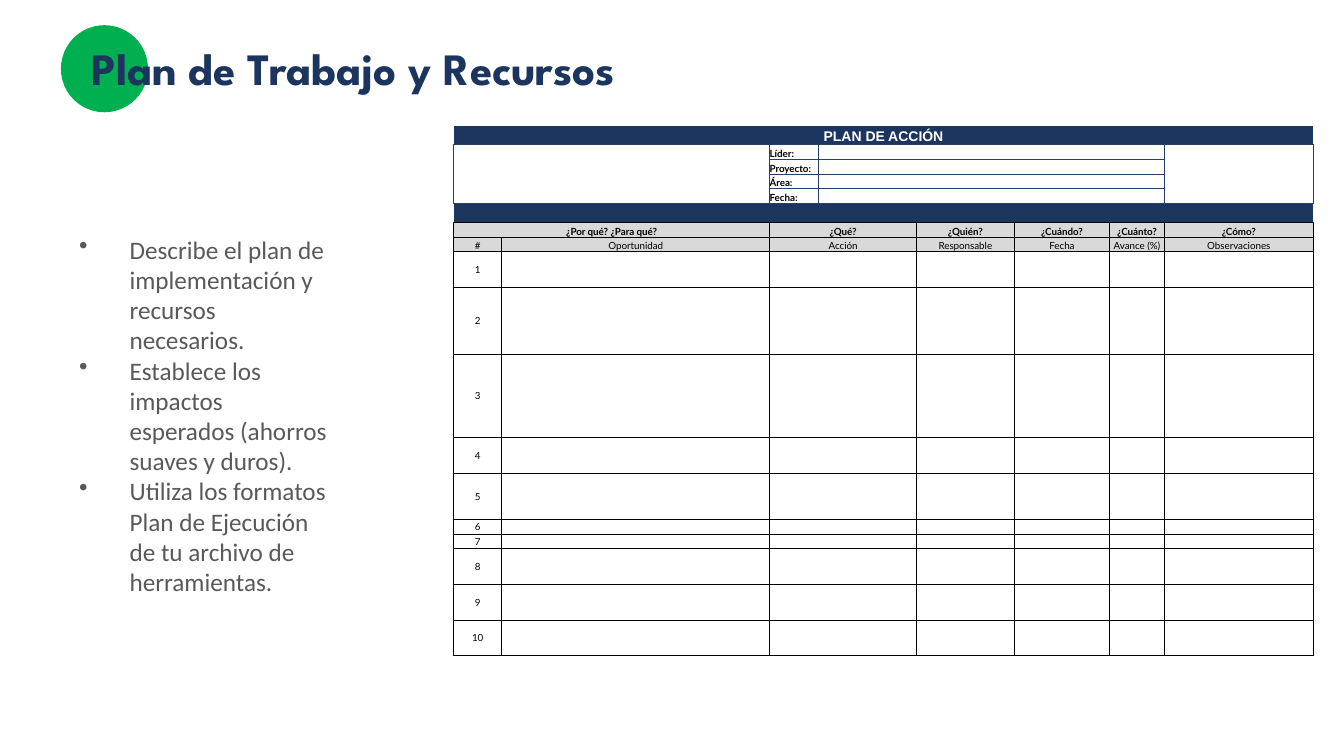
from lxml.etree import SubElement
from pptx import Presentation
from pptx.dml.color import RGBColor
from pptx.enum.shapes import MSO_SHAPE
from pptx.enum.text import MSO_ANCHOR, PP_ALIGN
from pptx.oxml.ns import qn
from pptx.util import Pt

PX = 9525  # EMU in one px, 96 px to the inch
COLORS = {
    "navy": "1C355E", "green": "00B050", "body": "595959", "band": "D9D9D9",
    "form": "244062", "grid": "000000", "white": "FFFFFF",
}
SIDES = {"l": "a:lnL", "r": "a:lnR", "t": "a:lnT", "b": "a:lnB"}

COLUMN_WIDTHS = [46, 255, 47, 93, 93, 91, 52, 142]
ROW_HEIGHTS = [18, 14, 14, 14, 14, 18, 14, 14,
               34, 64, 79, 34, 44, 14, 14, 34, 34, 34]
FORM_ROWS = range(1, 5)
DIVIDER_ROW, QUESTION_ROW, HEADING_ROW, FIRST_ACTION_ROW = 5, 6, 7, 8

FORM_LABELS = ["Líder:", "Proyecto:", "Área:", "Fecha:"]
QUESTIONS = {0: "¿Por qué? ¿Para qué?", 2: "¿Qué?", 4: "¿Quién?",
             5: "¿Cuándo?", 6: "¿Cuánto?", 7: "¿Cómo?"}
HEADINGS = {0: "#", 1: "Oportunidad", 2: "Acción", 4: "Responsable",
            5: "Fecha", 6: "Avance (%)", 7: "Observaciones"}
GUIDELINES = [
    "Describe el plan de implementación y recursos necesarios.",
    "Establece los impactos esperados (ahorros suaves y duros).",
    "Utiliza los formatos Plan de Ejecución de tu archivo de herramientas.",
]


def rgb(color):
    return RGBColor.from_string(COLORS[color])


class SlideBuilder:
    def __init__(self, slide):
        self.slide = slide

    def style(self, paragraph, font, size, color, bold=False):
        paragraph.font.name = font
        paragraph.font.size = Pt(size)
        paragraph.font.bold = bold
        paragraph.font.color.rgb = rgb(color)

    def box(self, *bounds):
        return [value * PX for value in bounds]

    def circle(self, left, top, diameter, color):
        dot = self.slide.shapes.add_shape(
            MSO_SHAPE.OVAL, *self.box(left, top, diameter, diameter))
        dot.shadow.inherit = False
        dot.fill.solid()
        dot.fill.fore_color.rgb = rgb(color)
        dot.line.fill.background()

    def title(self, text, *bounds):
        frame = self.slide.shapes.add_textbox(*self.box(*bounds)).text_frame
        frame.word_wrap = True
        frame.vertical_anchor = MSO_ANCHOR.MIDDLE
        frame.margin_left = frame.margin_right = frame.margin_bottom = 0
        frame.margin_top = PX
        frame.text = text
        self.style(frame.paragraphs[0], "League Spartan", 32, "navy", True)

    def bullets(self, items, *bounds):
        frame = self.slide.shapes.add_textbox(*self.box(*bounds)).text_frame
        frame.word_wrap = True
        frame.text = "\n".join(items)
        for paragraph in frame.paragraphs:
            paragraph.level = 1
            self.style(paragraph, "Calibri", 18, "body")
            properties = paragraph._p.get_or_add_pPr()
            properties.set("marL", str(96 * PX))
            properties.set("indent", str(-48 * PX))
            marker = properties.makeelement(qn("a:buChar"), {"char": "•"})
            properties.insert_element_before(
                marker, "a:tabLst", "a:defRPr", "a:extLst")

    def table(self, left, top, widths, heights):
        frame = self.slide.shapes.add_table(
            len(heights), len(widths),
            *self.box(left, top, sum(widths), sum(heights)))
        table = frame.table
        table.first_row = table.horz_banding = False
        for column, width in zip(table.columns, widths):
            column.width = width * PX
        for row, height in zip(table.rows, heights):
            row.height = height * PX
        return table

    def cell(self, cell, fill=None, line="grid", sides="lrtb"):
        """Clear the margins, then set the fill and the four borders."""
        cell.margin_left = cell.margin_right = 0
        cell.margin_top = cell.margin_bottom = 0
        self.style(cell.text_frame.paragraphs[0], "Lato", 7, "grid")
        properties = cell._tc.get_or_add_tcPr()
        for side, tag in SIDES.items():
            border = SubElement(properties, qn(tag), w=str(Pt(0.75)))
            if side in sides:
                paint = SubElement(border, qn("a:solidFill"))
                SubElement(paint, qn("a:srgbClr"), val=COLORS[line])
            else:
                SubElement(border, qn("a:noFill"))
        if fill:
            cell.fill.solid()
            cell.fill.fore_color.rgb = rgb(fill)
        else:
            cell.fill.background()

    def cell_text(self, cell, text, bold=False, align=PP_ALIGN.CENTER,
                  anchor=MSO_ANCHOR.BOTTOM, font="Lato", size=7, color="grid"):
        cell.text = text
        cell.vertical_anchor = anchor
        paragraph = cell.text_frame.paragraphs[0]
        paragraph.alignment = align
        self.style(paragraph, font, size, color, bold)


def row_style(row):
    """Fill, line colour and drawn sides of the cells in a row."""
    if row == 0:
        return "navy", "form", "b"
    if row in FORM_ROWS:
        return None, "form", "lrtb"
    if row == DIVIDER_ROW:
        return "navy", "form", "t"
    return ("band" if row < FIRST_ACTION_ROW else None), "grid", "lrtb"


def add_action_plan(builder):
    plan = builder.table(432, 120, COLUMN_WIDTHS, ROW_HEIGHTS)
    last_row, last_column = len(ROW_HEIGHTS) - 1, len(COLUMN_WIDTHS) - 1
    for row in range(last_row + 1):
        for column in range(last_column + 1):
            builder.cell(plan.cell(row, column), *row_style(row))

    merges = [(0, 0, 0, last_column), (DIVIDER_ROW, 0, DIVIDER_ROW, last_column),
              (1, 0, 4, 1), (1, last_column, 4, last_column),
              (QUESTION_ROW, 0, QUESTION_ROW, 1)]
    merges += [(row, 3, row, 6) for row in FORM_ROWS]
    merges += [(row, 2, row, 3) for row in range(QUESTION_ROW, last_row + 1)]
    for top, left, bottom, right in merges:
        plan.cell(top, left).merge(plan.cell(bottom, right))

    builder.cell_text(plan.cell(0, 0), "PLAN DE ACCIÓN", True,
                      font="Arial", size=10, color="white")
    for row, label in zip(FORM_ROWS, FORM_LABELS):
        builder.cell_text(plan.cell(row, 2), label, True, PP_ALIGN.LEFT)
    for column, question in QUESTIONS.items():
        builder.cell_text(plan.cell(QUESTION_ROW, column), question, True)
    for column, heading in HEADINGS.items():
        builder.cell_text(plan.cell(HEADING_ROW, column), heading)
    for row in range(FIRST_ACTION_ROW, last_row + 1):
        number = str(row - FIRST_ACTION_ROW + 1)
        builder.cell_text(plan.cell(row, 0), number, anchor=MSO_ANCHOR.MIDDLE)


def main():
    deck = Presentation()
    deck.slide_width, deck.slide_height = 1280 * PX, 720 * PX
    builder = SlideBuilder(deck.slides.add_slide(deck.slide_layouts[6]))
    builder.circle(58, 24, 83, "green")
    builder.title("Plan de Trabajo y Recursos", 87, 37, 881, 53)
    builder.bullets(GUIDELINES, 18, 218, 304, 359)
    add_action_plan(builder)
    deck.save("out.pptx")


if __name__ == "__main__":
    main()
